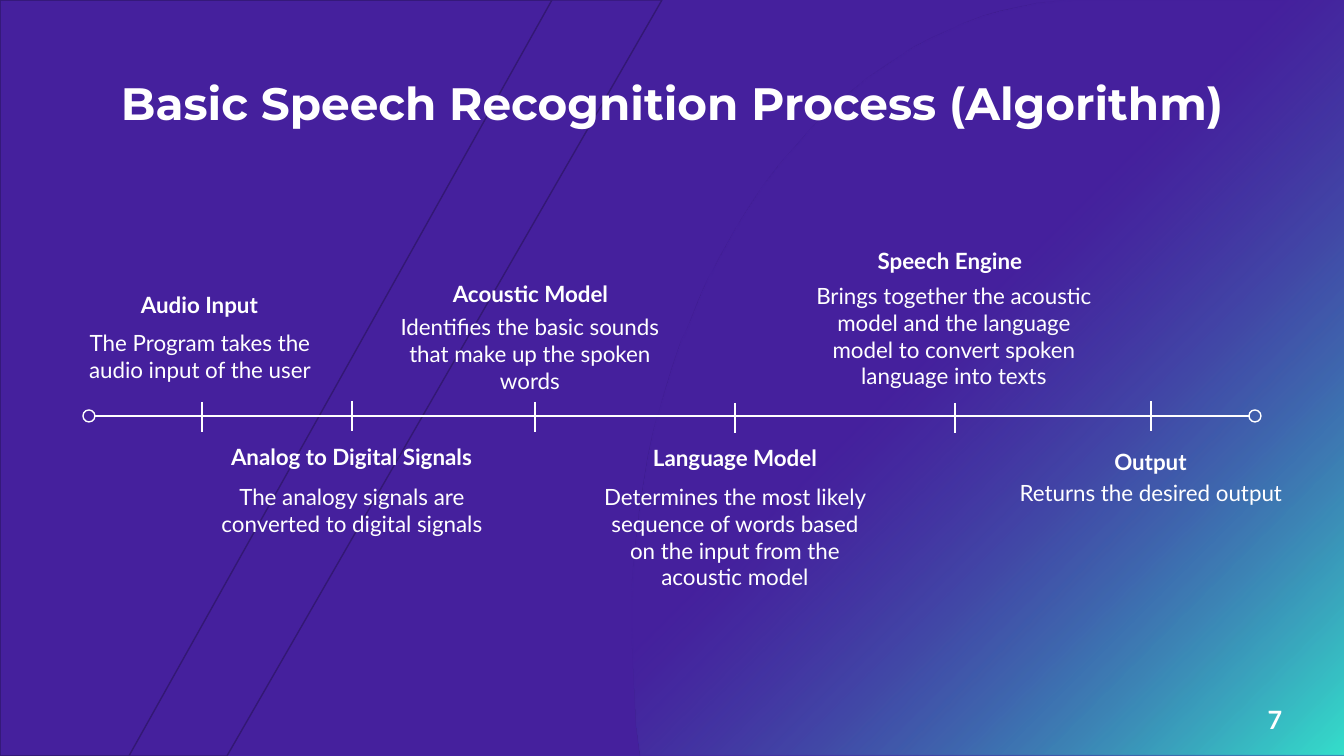
from math import cos, pi, sin

from lxml import etree
from pptx import Presentation
from pptx.dml.color import RGBColor
from pptx.enum.shapes import MSO_CONNECTOR, MSO_SHAPE
from pptx.enum.text import MSO_ANCHOR, MSO_AUTO_SIZE, PP_ALIGN
from pptx.oxml import parse_xml
from pptx.oxml.ns import nsdecls, qn
from pptx.util import Pt

PX = 914400 / 100.8
W, H = 1344, 756
COLORS = {"purple": "45209D", "teal": "34DFCB", "edge": "331874", "white": "FFFFFF"}
RGB = {name: RGBColor.from_string(c) for name, c in COLORS.items()}


def box(*lengths):
    return [round(v * PX) for v in lengths]


def add_label(text, x, y, w, h, size=16, bold=False):
    tb = slide.shapes.add_textbox(*box(x, y, w, h))
    tf = tb.text_frame
    tf.margin_left = tf.margin_right = tf.margin_top = tf.margin_bottom = 0
    tf.word_wrap = True
    tf.text = text
    p = tf.paragraphs[0]
    p.alignment = PP_ALIGN.CENTER
    font = p.runs[0].font
    font.name, font.size, font.bold = "Lato", Pt(size), bold
    font.color.rgb = RGB["white"]


prs = Presentation()
prs.slide_width, prs.slide_height = box(W, H)
slide = prs.slides.add_slide(prs.slide_layouts[5])
shapes = slide.shapes

# Backdrop
sp = shapes.add_shape(MSO_SHAPE.RECTANGLE, *box(0, 0, W, H))
sp.shadow.inherit = False
sp.fill.solid()
sp.fill.fore_color.rgb = RGB["purple"]
sp.line.fill.background()

# Gradient area with an elliptic left edge
cx, cy, rx, ry = 1091, 629, 459, 629
arc = [(cx - rx * cos(a), cy - ry * sin(a)) for a in (i * pi / 80 for i in range(41))]
fb = shapes.build_freeform(W, 0, scale=PX)
fb.add_line_segments([(W, H), (641, H), (637, 726)] + arc)
sp = fb.convert_to_shape()
sp.shadow.inherit = False
sp.line.fill.background()
grad = parse_xml(
    f'<a:gradFill {nsdecls("a")} rotWithShape="1"><a:gsLst>'
    f'<a:gs pos="44000"><a:srgbClr val="{COLORS["purple"]}"><a:alpha val="40000"/></a:srgbClr></a:gs>'
    f'<a:gs pos="100000"><a:srgbClr val="{COLORS["teal"]}"/></a:gs>'
    '</a:gsLst><a:lin ang="2700000" scaled="0"/></a:gradFill>')
sp._element.spPr.find(qn("a:custGeom")).addnext(grad)

# Slanted panels
for top_x, bottom_x in [(662, 227), (552, 129)]:
    fb = shapes.build_freeform(0, 0, scale=PX)
    fb.add_line_segments([(top_x, 0), (bottom_x, H), (0, H)])
    sp = fb.convert_to_shape()
    sp.shadow.inherit = False
    sp.fill.solid()
    sp.fill.fore_color.rgb = RGB["purple"]
    color = sp._element.spPr.find(qn("a:solidFill"))[0]
    etree.SubElement(color, qn("a:alpha")).set("val", "20000")
    sp.line.color.rgb = RGB["edge"]
    sp.line.width = Pt(1)

# Title, brought in front of the backdrop
title = shapes.title
shapes._spTree.append(title._element)
title.left, title.top, title.width, title.height = box(107, 77, 1130, 58)
tf = title.text_frame
tf.text = "Basic Speech Recognition Process (Algorithm)"
tf.vertical_anchor = MSO_ANCHOR.MIDDLE
tf.auto_size = MSO_AUTO_SIZE.NONE
p = tf.paragraphs[0]
p.alignment = PP_ALIGN.CENTER
p.line_spacing = 0.9
font = p.runs[0].font
font.name, font.size, font.bold = "Montserrat", Pt(32.4), True
font.color.rgb = RGB["white"]

# Steps: tick (x, top), heading (name, x, y, w), body (text, x, y, w, lines)
steps = [
    ((202, 402), ("Audio Input", 127, 291, 145),
     ("The Program takes the audio input of the user", 67, 329, 266, 2)),
    ((352, 401), ("Analog to Digital Signals", 200, 443, 303),
     ("The analogy signals are converted to digital signals", 210, 483, 284, 2)),
    ((535, 402), ("Acoustic Model", 379, 280, 303),
     ("Identifies the basic sounds that make up the spoken words", 388, 313, 284, 3)),
    ((735, 403), ("Language Model", 641, 444, 188),
     ("Determines the most likely sequence of words based on the input from the acoustic model",
      602, 483, 266, 4)),
    ((955, 403), ("Speech Engine", 869, 247, 162),
     ("Brings together the acoustic model and the language model to convert spoken language into texts",
      812, 282, 284, 4)),
    ((1151, 401), ("Output", 999, 448, 303),
     ("Returns the desired output", 1009, 479, 284, 1)),
]

# Timeline axis and ticks
axis = (95, 416, 1250, 416)
ticks = [(x, top, x, top + 30) for (x, top), _, _ in steps]
for ends in [axis] + ticks:
    line = shapes.add_connector(MSO_CONNECTOR.STRAIGHT, *box(*ends))
    line.line.color.rgb = RGB["white"]
    line.line.width = Pt(1)
    etree.SubElement(line._element.spPr, qn("a:effectLst"))

# Axis end rings
for x in (83, 1249):
    sp = shapes.add_shape(MSO_SHAPE.OVAL, *box(x, 410, 12, 12))
    sp.shadow.inherit = False
    sp.fill.background()
    sp.line.color.rgb = RGB["white"]
    sp.line.width = Pt(1)

# Step texts
for _, (name, hx, hy, hw), (text, x, y, w, lines) in steps:
    add_label(name, hx, hy, hw, 27, bold=True)
    add_label(text, x, y, w, 27 * lines)

# Page number
add_label("7", 1236, 704, 78, 30, size=18, bold=True)

prs.save("out.pptx")
